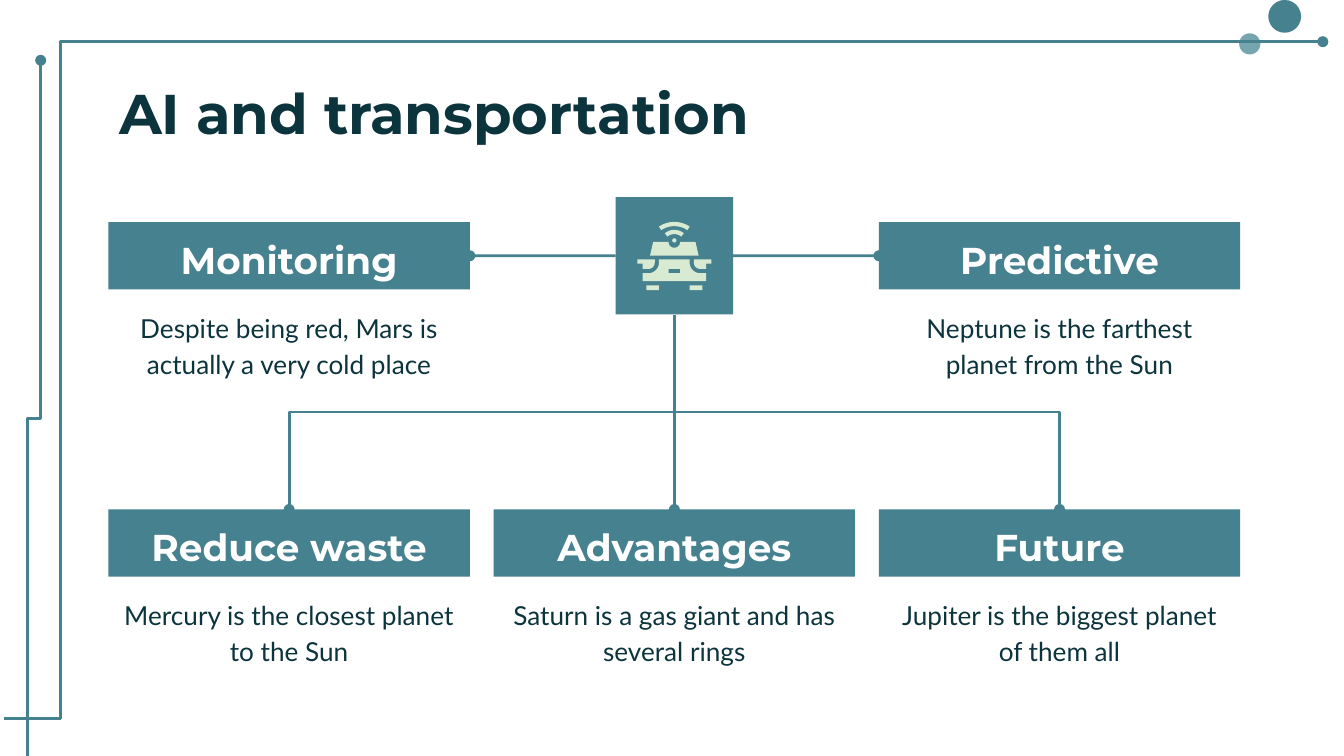
import math

import pptx
import pptx.dml.color
import pptx.enum.shapes
import pptx.enum.text
import pptx.oxml.ns
import pptx.util
from pptx.util import Cm

COLORS = {"teal": "45818E", "mist": "76A5AF", "ink": "0C343D",
          "mint": "D9EAD3", "white": "FFFFFF"}
SHAPES = pptx.enum.shapes.MSO_SHAPE
LINKS = pptx.enum.shapes.MSO_CONNECTOR
ANCHOR = pptx.enum.text.MSO_ANCHOR
ALIGN = pptx.enum.text.PP_ALIGN
TOP, LEFT, BOTTOM, RIGHT = range(4)

# Grid, in centimetres
COL_X, COL_STEP, COL_W = 2.05, 7.28, 6.83
BAR_H, CAPTION_DY, CAPTION_H = 1.27, 1.37, 1.75
ROW_Y = [4.2, 9.63]
TILE = 2.22
TILE_X = COL_X + COL_STEP + COL_W / 2
TILE_Y = ROW_Y[0] + BAR_H / 2

# Column, row, heading, caption
TOPICS = [
    (0, 0, "Monitoring", "Despite being red, Mars is actually a very cold place"),
    (2, 0, "Predictive", "Neptune is the farthest planet from the Sun"),
    (0, 1, "Reduce waste", "Mercury is the closest planet to the Sun"),
    (1, 1, "Advantages", "Saturn is a gas giant and has several rings"),
    (2, 1, "Future", "Jupiter is the biggest planet of them all"),
]


def rgb(name):
    return pptx.dml.color.RGBColor.from_string(COLORS[name])


def paint(sp, color):
    sp.shadow.inherit = False
    sp.fill.solid()
    sp.fill.fore_color.rgb = rgb(color)
    sp.line.fill.background()
    return sp


def add_block(shapes, kind, x, y, w, h, color):
    return paint(shapes.add_shape(kind, Cm(x), Cm(y), Cm(w), Cm(h)), color)


def write(sp, text, size, font, color, bold=False, align=ALIGN.CENTER,
          spacing=1.15, anchor=ANCHOR.TOP):
    tf = sp.text_frame
    tf.word_wrap = True
    tf.auto_size = pptx.enum.text.MSO_AUTO_SIZE.NONE
    tf.vertical_anchor = anchor
    tf.margin_left = tf.margin_right = Cm(0.25)
    tf.margin_top = tf.margin_bottom = Cm(0.25)
    p = tf.paragraphs[0]
    p.alignment = align
    p.line_spacing = spacing
    r = p.add_run()
    r.text = text
    r.font.size = pptx.util.Pt(size)
    r.font.name = font
    r.font.bold = bold
    r.font.color.rgb = rgb(color)


def add_topic(s, col, row, heading, caption):
    x, y = COL_X + col * COL_STEP, ROW_Y[row]
    bar = add_block(s.shapes, SHAPES.RECTANGLE, x, y, COL_W, BAR_H, "teal")
    write(bar, heading, 20, "Montserrat", "white", bold=True, anchor=ANCHOR.MIDDLE)
    box = s.shapes.add_textbox(Cm(x), Cm(y + CAPTION_DY), Cm(COL_W), Cm(CAPTION_H))
    write(box, caption, 14, "Lato", "ink")
    return bar


def add_link(s, kind, x1=0, y1=0, x2=0, y2=0):
    c = s.shapes.add_connector(kind, Cm(x1), Cm(y1), Cm(x2), Cm(y2))
    c.line.color.rgb = rgb("teal")
    c.line.width = pptx.util.Pt(1.5)
    qn = pptx.oxml.ns.qn
    ln = c.line._get_or_add_ln()
    ln.makeelement(qn("a:tailEnd"), {})
    tail = pptx.oxml.parse_xml(
        '<a:tailEnd %s type="oval"/>' % pptx.oxml.ns.nsdecls("a"))
    ln.append(tail)
    sp_pr = c._element.spPr
    sp_pr.append(sp_pr.makeelement(qn("a:effectLst"), {}))
    return c


def join(c, start, start_side, end, end_side):
    c.begin_connect(start, start_side)
    c.end_connect(end, end_side)


def set_bend(c, share):
    guides = c._element.spPr.find(".//" + pptx.oxml.ns.qn("a:avLst"))
    guide = guides.makeelement(pptx.oxml.ns.qn("a:gd"), {
        "name": "adj1", "fmla": f"val {round(share * 100000)}"})
    guides.append(guide)


def turn_upright(c):
    """Turn an elbow so that it leaves and arrives vertically."""
    x1, y1, x2, y2 = c.begin_x, c.begin_y, c.end_x, c.end_y
    run, rise = abs(y2 - y1), abs(x2 - x1)
    c.left, c.top = (x1 + x2 - run) // 2, (y1 + y2 - rise) // 2
    c.width, c.height = run, rise
    xfrm = c._element.spPr.find(pptx.oxml.ns.qn("a:xfrm"))
    for name in ("flipH", "flipV"):
        xfrm.attrib.pop(name, None)
    xfrm.set("rot", str((270 if x2 > x1 else 90) * 60000))
    if x2 > x1 and y2 > y1:
        xfrm.set("flipH", "1")


def arc(x, y, radius, start, end, steps=16):
    angles = [math.radians(start + (end - start) * i / steps)
              for i in range(steps + 1)]
    return [(x + radius * math.cos(a), y + radius * math.sin(a)) for a in angles]


def mirror(points):
    return [(-x, y) for x, y in reversed(points)]


def add_outline(shapes, *contours):
    """Draw contours given in centimetres from the centre of the tile."""
    builder = None
    for contour in contours:
        points = [(Cm(TILE_X + x), Cm(TILE_Y + y)) for x, y in contour]
        if builder is None:
            builder = shapes.build_freeform(*points[0], scale=1.0)
        else:
            builder.move_to(*points[0])
        builder.add_line_segments(points[1:], close=True)
    paint(builder.convert_to_shape(), "mint")


def add_car(s):
    shapes = s.shapes.add_group_shape().shapes
    # Body with number plate, then headlights
    side = [(-0.6, 0.48), (-0.6, 0.33)] + arc(-0.49, 0.13, 0.2, 90, 0) + [(-0.29, 0.07)]
    plate = [(-0.11, 0.25), (0.11, 0.25), (0.11, 0.33), (-0.11, 0.33)]
    add_outline(shapes, side + mirror(side), plate)
    lamp = [(-0.7, 0.07), (-0.7, 0.15), (-0.6, 0.15), (-0.6, 0.25)]
    lamp += arc(-0.49, 0.13, 0.12, 90, 0) + [(-0.37, 0.07)]
    add_outline(shapes, lamp)
    add_outline(shapes, mirror(lamp))
    # Cabin and signal waves
    cabin = [(-0.46, 0), (-0.4, -0.26)] + arc(0, -0.26, 0.11, 180, 0)
    add_outline(shapes, cabin + [(0.4, -0.26), (0.46, 0)])
    for y, outer, inner, spread in [(-0.12, 0.52, 0.44, 34), (-0.21, 0.28, 0.2, 40)]:
        add_outline(shapes, arc(0, y, outer, 270 - spread, 270 + spread)
                    + arc(0, y, inner, 270 + spread, 270 - spread))
    # Wheels and signal dot
    for x in (-0.53, 0.29):
        add_block(shapes, SHAPES.RECTANGLE, TILE_X + x, TILE_Y + 0.56, 0.24, 0.09, "mint")
    add_block(shapes, SHAPES.OVAL, TILE_X - 0.04, TILE_Y - 0.33, 0.08, 0.08, "mint")


def add_frame(s):
    add_block(s.shapes, SHAPES.OVAL, 23.42, 0.63, 0.4, 0.4, "mist")
    add_block(s.shapes, SHAPES.OVAL, 23.97, 0, 0.62, 0.62, "teal")
    set_bend(add_link(s, LINKS.ELBOW, 0.08, 13.59, 25, 0.79), 0.043)
    turn_upright(add_link(s, LINKS.ELBOW, 0.52, 14.68, 0.77, 1.14))


def main():
    prs = pptx.Presentation()
    prs.slide_width, prs.slide_height = Cm(25.4), Cm(14.29)
    s = prs.slides.add_slide(prs.slide_layouts[5])
    add_frame(s)

    # Title
    title = s.shapes.title
    title.left, title.top, title.width, title.height = Cm(2), Cm(1.24), Cm(21.4), Cm(1.6)
    write(title, "AI and transportation", 30, "Montserrat", "ink", bold=True,
          align=ALIGN.LEFT, spacing=1.0)

    # Tile and topics
    tile = add_block(s.shapes, SHAPES.RECTANGLE, TILE_X - TILE / 2,
                     TILE_Y - TILE / 2, TILE, TILE, "teal")
    bars = [add_topic(s, *topic) for topic in TOPICS]

    # Links from the tile to each heading
    join(add_link(s, LINKS.STRAIGHT), tile, LEFT, bars[0], RIGHT)
    join(add_link(s, LINKS.STRAIGHT), tile, RIGHT, bars[1], LEFT)
    for bar in bars[2:]:
        c = add_link(s, LINKS.ELBOW)
        join(c, tile, BOTTOM, bar, TOP)
        turn_upright(c)

    add_car(s)
    prs.save("out.pptx")


if __name__ == "__main__":
    main()
